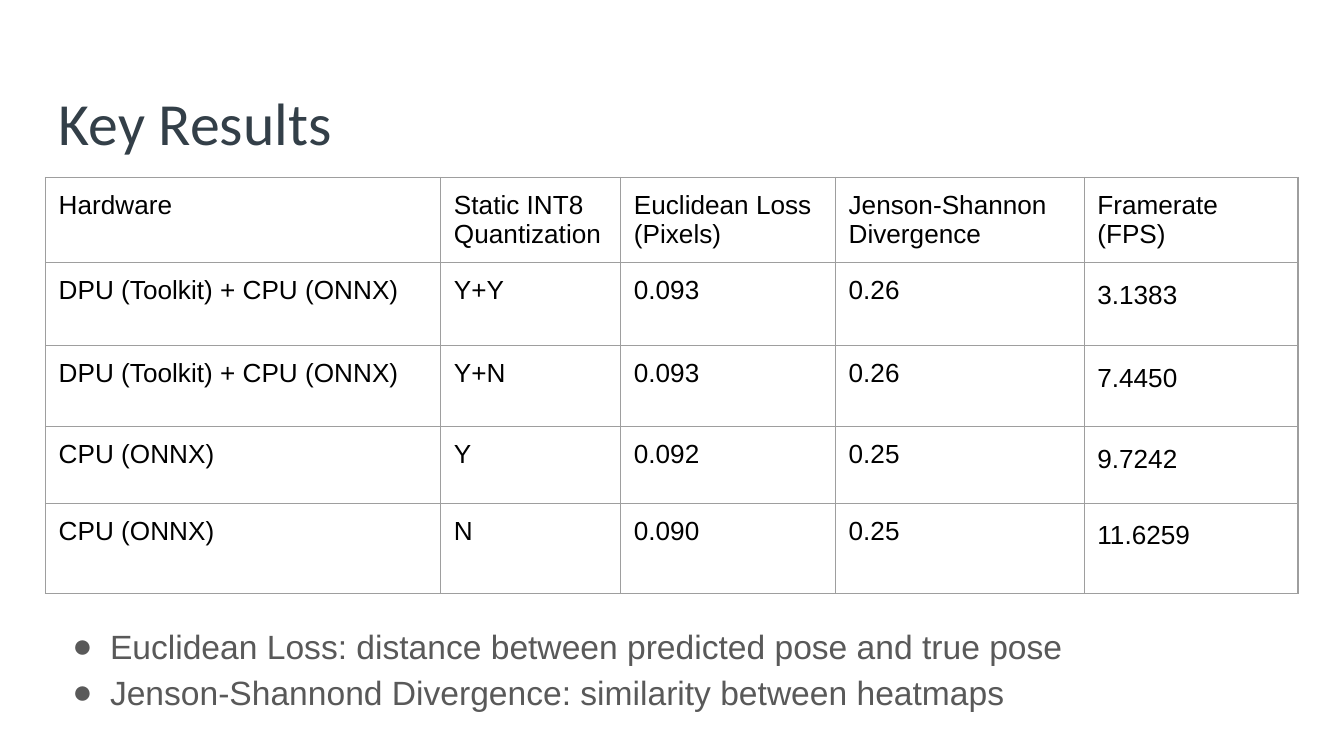
import lxml.etree
import pptx
import pptx.dml.color
import pptx.enum.text
import pptx.oxml.ns
import pptx.util

Cm = pptx.util.Cm
Pt = pptx.util.Pt
qn = pptx.oxml.ns.qn
ANCHOR = pptx.enum.text.MSO_ANCHOR
COLORS = {"title": "333F48", "cell": "000000", "body": "595959",
          "border": "9E9E9E", "fill": "FFFFFF"}


def style(p, name, size, color):
    p.alignment = pptx.enum.text.PP_ALIGN.LEFT
    for r in p.runs:
        for key, value in {"name": name, "size": Pt(size), "bold": False}.items():
            setattr(r.font, key, value)
        r.font.color.rgb = pptx.dml.color.RGBColor.from_string(COLORS[color])


def add_xml(parent, tag, **attrs):
    return lxml.etree.SubElement(parent, qn(tag), attrs)


prs = pptx.Presentation()
prs.slide_width, prs.slide_height = Cm(25.4), Cm(14.28)
slide = prs.slides.add_slide(prs.slide_layouts[5])
left, width = Cm(0.86), Cm(23.67)
frame = {"word_wrap": True, "auto_size": pptx.enum.text.MSO_AUTO_SIZE.NONE,
         "vertical_anchor": ANCHOR.MIDDLE,
         "margin_left": Cm(0.25), "margin_right": Cm(0.25),
         "margin_top": Cm(0.13), "margin_bottom": Cm(0.13)}

sp = slide.shapes.title
place = {"left": left, "top": Cm(1.5), "width": width, "height": Cm(1.6)}
for key, value in place.items():
    setattr(sp, key, value)
tf = sp.text_frame
tf.text = "Key Results"
for key, value in frame.items():
    setattr(tf, key, value)
style(tf.paragraphs[0], "Calibri", 32, "title")

rows = [
    ["Hardware", "Static INT8 Quantization", "Euclidean Loss\n(Pixels)",
     "Jenson-Shannon Divergence", "Framerate (FPS)"],
    ["DPU (Toolkit) + CPU (ONNX)", "Y+Y", "0.093", "0.26", "3.1383"],
    ["DPU (Toolkit) + CPU (ONNX)", "Y+N", "0.093", "0.26", "7.4450"],
    ["CPU (ONNX)", "Y", "0.092", "0.25", "9.7242"],
    ["CPU (ONNX)", "N", "0.090", "0.25", "11.6259"],
]
col_widths = [7.47, 3.4, 4.06, 4.7, 4.04]
row_heights = [1.6, 1.57, 1.53, 1.45, 1.7]
table = slide.shapes.add_table(len(rows), len(col_widths), left, Cm(3.35),
                               width, Cm(sum(row_heights))).table
table.first_row = table.horz_banding = False
for col, w in zip(table.columns, col_widths):
    col.width = Cm(w)
for row, h in zip(table.rows, row_heights):
    row.height = Cm(h)

cell_format = {"margin_left": Cm(0.25), "margin_right": Cm(0.25),
               "margin_top": Cm(0.25), "margin_bottom": Cm(0.25),
               "vertical_anchor": ANCHOR.TOP}
for i, values in enumerate(rows):
    for j, value in enumerate(values):
        cell = table.cell(i, j)
        cell.text = value
        for key, setting in cell_format.items():
            setattr(cell, key, setting)
        for p in cell.text_frame.paragraphs:
            style(p, "Arial", 14, "cell")
            if i > 0 and j == 4:
                p.line_spacing = 1.15
        tcPr = cell._tc.get_or_add_tcPr()
        for side in ("a:lnL", "a:lnR", "a:lnT", "a:lnB"):
            ln = add_xml(tcPr, side, w=str(Pt(0.75)))
            add_xml(add_xml(ln, "a:solidFill"), "a:srgbClr", val=COLORS["border"])
        cell.fill.solid()
        cell.fill.fore_color.rgb = pptx.dml.color.RGBColor.from_string(COLORS["fill"])

notes = ["Euclidean Loss: distance between predicted pose and true pose",
         "Jenson-Shannond Divergence: similarity between heatmaps"]
tf = slide.shapes.add_textbox(left, Cm(10.74), width, Cm(3.68)).text_frame
tf.text = "\n".join(notes)
for key, value in frame.items():
    setattr(tf, key, value)
for p in tf.paragraphs:
    style(p, "Arial", 18, "body")
    p.line_spacing = 1.15
    pPr = p._p.get_or_add_pPr()
    pPr.set("marL", str(Cm(0.97)))
    pPr.set("indent", str(Cm(-0.71)))
    add_xml(add_xml(pPr, "a:buClr"), "a:srgbClr", val=COLORS["body"])
    add_xml(pPr, "a:buFont", typeface="Arial")
    add_xml(pPr, "a:buChar", char="●")

prs.save("out.pptx")
